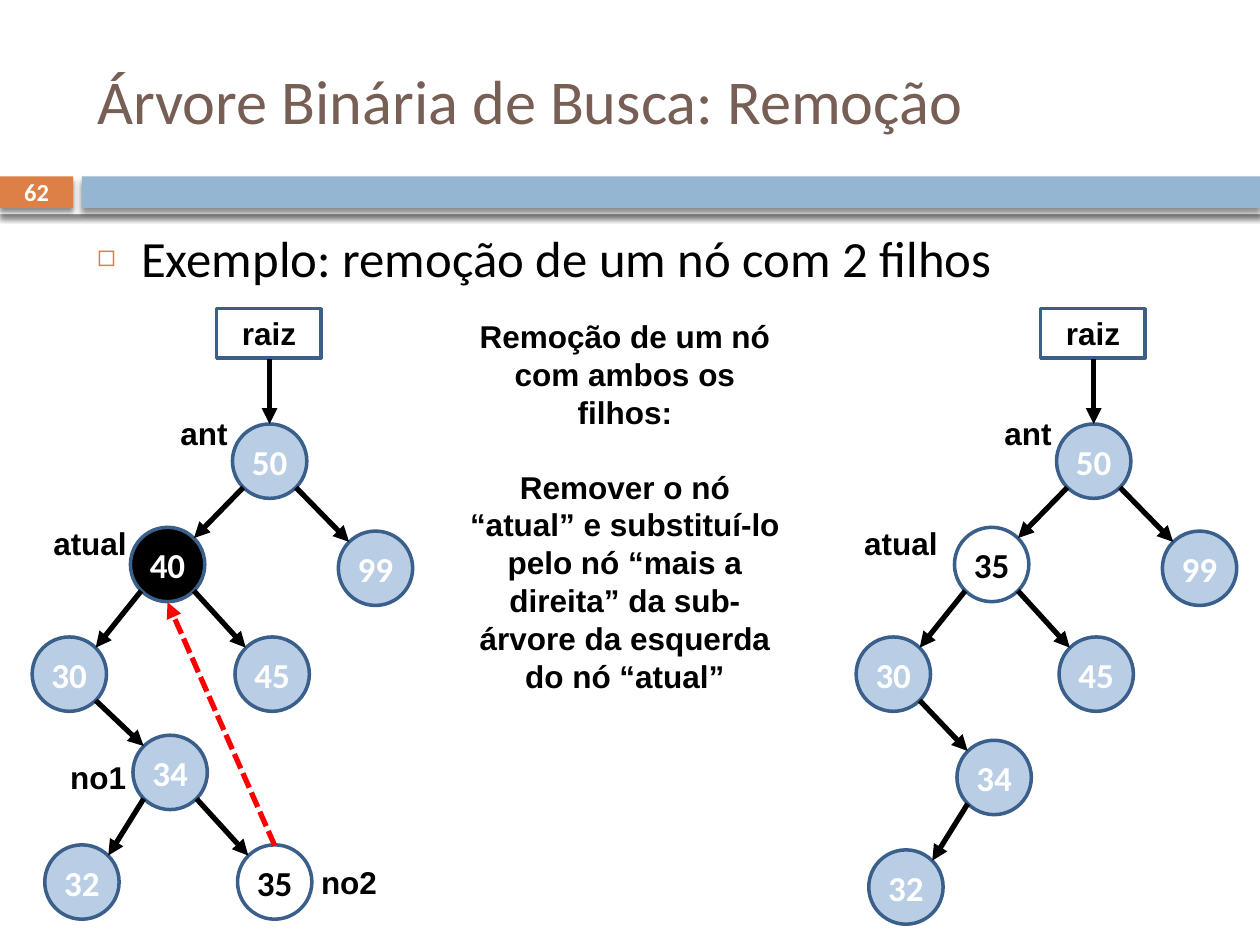
from lxml import etree
from pptx import Presentation
from pptx.dml.color import RGBColor
from pptx.enum import dml, shapes, text
from pptx.oxml import ns
from pptx.util import Inches, Pt

BLACK = RGBColor(0x00, 0x00, 0x00)
WHITE = RGBColor(0xFF, 0xFF, 0xFF)
RED = RGBColor(0xFF, 0x00, 0x00)
BROWN = RGBColor(0x77, 0x5F, 0x55)
ORANGE = RGBColor(0xDD, 0x80, 0x47)
BAR_BLUE = RGBColor(0x94, 0xB6, 0xD2)
NODE_BLUE = RGBColor(0xB9, 0xCD, 0xE5)
OUTLINE = RGBColor(0x3A, 0x5F, 0x8B)

LABEL = {"name": "Arial", "size": Pt(18), "bold": True}
VALUE = {"name": "Calibri", "size": Pt(20), "bold": True}
PAGE = {"name": "Calibri", "size": Pt(14), "bold": True}
TITLE = {"name": "Calibri", "size": Pt(35.6), "bold": False}
BULLET = {"name": "Calibri", "size": Pt(29), "bold": False}

DIAMETER = 0.59
DIAGONAL = DIAMETER / 2 * 0.71  # 45° point on a node's rim
RIGHT_TREE = 6.54               # distance between the two trees

# Node centres in the left tree
CENTRES = {
    "root": (2.14, 3.66), "current": (1.33, 4.48), "99": (2.98, 4.51),
    "30": (0.55, 5.35), "45": (2.16, 5.35), "34": (1.35, 6.13),
    "32": (0.65, 7.0), "last": (2.18, 7.0),
}
EDGES = [("root", "current"), ("root", "99"), ("current", "30"),
         ("current", "45"), ("30", "34"), ("34", "32"), ("34", "last")]


def add_xml(parent, tag, **attrs):
    return etree.SubElement(parent, ns.qn(tag), attrs)


def box(values):
    return [Inches(v) for v in values]


def format_text(p, fmt, color, align=text.PP_ALIGN.CENTER):
    p.alignment = align
    for name, value in fmt.items():
        setattr(p.font, name, value)
    p.font.color.rgb = color


def add_label(s, at, words, fmt=LABEL, color=BLACK, anchor=text.MSO_ANCHOR.TOP):
    tf = s.shapes.add_textbox(*box(at)).text_frame
    tf.word_wrap = True
    tf.vertical_anchor = anchor
    for i, words_line in enumerate(words.split("\n")):
        p = tf.add_paragraph() if i else tf.paragraphs[0]
        p.text = words_line
        p.space_before = Pt(21 if i else 0)
        format_text(p, fmt, color)


def add_bar(s, at, color):
    sp = s.shapes.add_shape(shapes.MSO_SHAPE.RECTANGLE, *box(at))
    sp.fill.solid()
    sp.fill.fore_color.rgb = color
    sp.line.fill.background()
    sp.shadow.inherit = False
    effects = sp._element.spPr.find(ns.qn("a:effectLst"))
    shadow = add_xml(effects, "a:outerShdw", blurRad=str(Pt(3)),
                     dist=str(Pt(2.4)), dir="5400000", rotWithShape="0")
    rgb = add_xml(shadow, "a:srgbClr", val="000000")
    add_xml(rgb, "a:alpha", val="45000")


def add_outlined(s, kind, at, words, fmt, color, fill=None):
    sp = s.shapes.add_shape(kind, *box(at))
    sp.shadow.inherit = False
    if fill is None:
        sp.fill.background()
    else:
        sp.fill.solid()
        sp.fill.fore_color.rgb = fill
    sp.line.color.rgb = OUTLINE
    sp.line.width = Pt(2)
    tf = sp.text_frame
    tf.word_wrap = False
    tf.vertical_anchor = text.MSO_ANCHOR.MIDDLE
    tf.text = words
    format_text(tf.paragraphs[0], fmt, color)


def add_arrow(s, start, end, color=BLACK, dash=None):
    sp = s.shapes.add_connector(shapes.MSO_CONNECTOR.STRAIGHT, *box(start + end))
    sp.line.color.rgb = color
    sp.line.width = Pt(3)
    if dash is not None:
        sp.line.dash_style = dash
    add_xml(sp.line._get_or_add_ln(), "a:tailEnd", type="triangle")
    add_xml(sp._element.spPr, "a:effectLst")


def add_tree(s, dx, values, styles, drop=0):
    """Draw the nodes in values; drop lowers the two deepest levels."""
    centres = {key: (x + dx, y + (drop if y > 6 else 0))
               for key, (x, y) in CENTRES.items() if key in values}
    for key, (x, y) in centres.items():
        fill, color = styles.get(key, (NODE_BLUE, WHITE))
        at = (x - DIAMETER / 2, y - DIAMETER / 2, DIAMETER, DIAMETER)
        add_outlined(s, shapes.MSO_SHAPE.OVAL, at, values[key], VALUE, color, fill)
    for parent, child in EDGES:
        if child in centres:
            (x1, y1), (x2, y2) = centres[parent], centres[child]
            side = DIAGONAL if x2 > x1 else -DIAGONAL
            add_arrow(s, (x1 + side, y1 + DIAGONAL), (x2 - side, y2 - DIAGONAL))
    # Root pointer
    add_outlined(s, shapes.MSO_SHAPE.RECTANGLE, (1.72 + dx, 2.45, 0.83, 0.39),
                 "raiz", LABEL, BLACK)
    x, y = centres["root"]
    add_arrow(s, (x, 2.85), (x, y - DIAMETER / 2))
    add_label(s, (1.12 + dx, 3.24, 1, 0.4), "ant")


def fill_placeholder(sp, at, words, fmt, color):
    sp.left, sp.top, sp.width, sp.height = box(at)
    tf = sp.text_frame
    tf.auto_size = text.MSO_AUTO_SIZE.NONE
    tf.text = words
    p = tf.paragraphs[0]
    p.space_before = Pt(0)
    return tf, p


def add_headings(s):
    tf, p = fill_placeholder(s.shapes.title, (0.67, 0.25, 8.92, 1.08),
                             "Árvore Binária de Busca: Remoção", TITLE, BROWN)
    tf.vertical_anchor = text.MSO_ANCHOR.MIDDLE
    format_text(p, TITLE, BROWN, text.PP_ALIGN.LEFT)

    tf, p = fill_placeholder(s.placeholders[1], (0.67, 1.75, 8.92, 4.92),
                             "Exemplo: remoção de um nó com 2 filhos", BULLET, BLACK)
    pPr = p._p.get_or_add_pPr()
    pPr.set("marL", str(Inches(0.35)))
    pPr.set("indent", str(Inches(-0.35)))
    add_xml(add_xml(pPr, "a:buClr"), "a:srgbClr", val=str(ORANGE))
    add_xml(pPr, "a:buSzPct", val="60000")
    add_xml(pPr, "a:buChar", char="◻")
    format_text(p, BULLET, BLACK, text.PP_ALIGN.LEFT)


def main():
    prs = Presentation()
    prs.slide_width, prs.slide_height = Inches(10), Inches(7.5)
    s = prs.slides.add_slide(prs.slide_layouts[1])

    # Band with page number
    add_bar(s, (0, 1.35, 10, 0.35), WHITE)
    add_bar(s, (0, 1.4, 0.58, 0.25), ORANGE)
    add_bar(s, (0.65, 1.4, 9.35, 0.25), BAR_BLUE)
    add_label(s, (0, 1.39, 0.58, 0.27), "62", PAGE, WHITE, text.MSO_ANCHOR.MIDDLE)
    add_headings(s)

    # Tree before and after the removal
    before = {key: key for key in CENTRES} | {"root": "50", "current": "40", "last": "35"}
    after = {key: v for key, v in before.items() if key != "last"} | {"current": "35"}
    add_tree(s, 0, before, {"current": (BLACK, WHITE), "last": (WHITE, BLACK)})
    add_tree(s, RIGHT_TREE, after, {"current": (WHITE, BLACK)}, drop=0.04)

    # Names of the pointers
    add_label(s, (0.3, 4.11, 0.83, 0.4), "atual")
    add_label(s, (6.65, 4.11, 1, 0.4), "atual")
    add_label(s, (0.28, 5.97, 1, 0.4), "no1")
    add_label(s, (2.27, 6.8, 1, 0.4), "no2")

    # Explanation and replacement arrow
    add_label(s, (3.58, 2.47, 2.76, 3.1),
              "Remoção de um nó com ambos os filhos:\n"
              "Remover o nó “atual” e substituí-lo pelo nó “mais a direita” "
              "da sub-árvore da esquerda do nó “atual”")
    add_arrow(s, (2.18, 6.71), (1.33, 4.78), RED, dml.MSO_LINE.SQUARE_DOT)

    prs.save("out.pptx")


if __name__ == "__main__":
    main()
